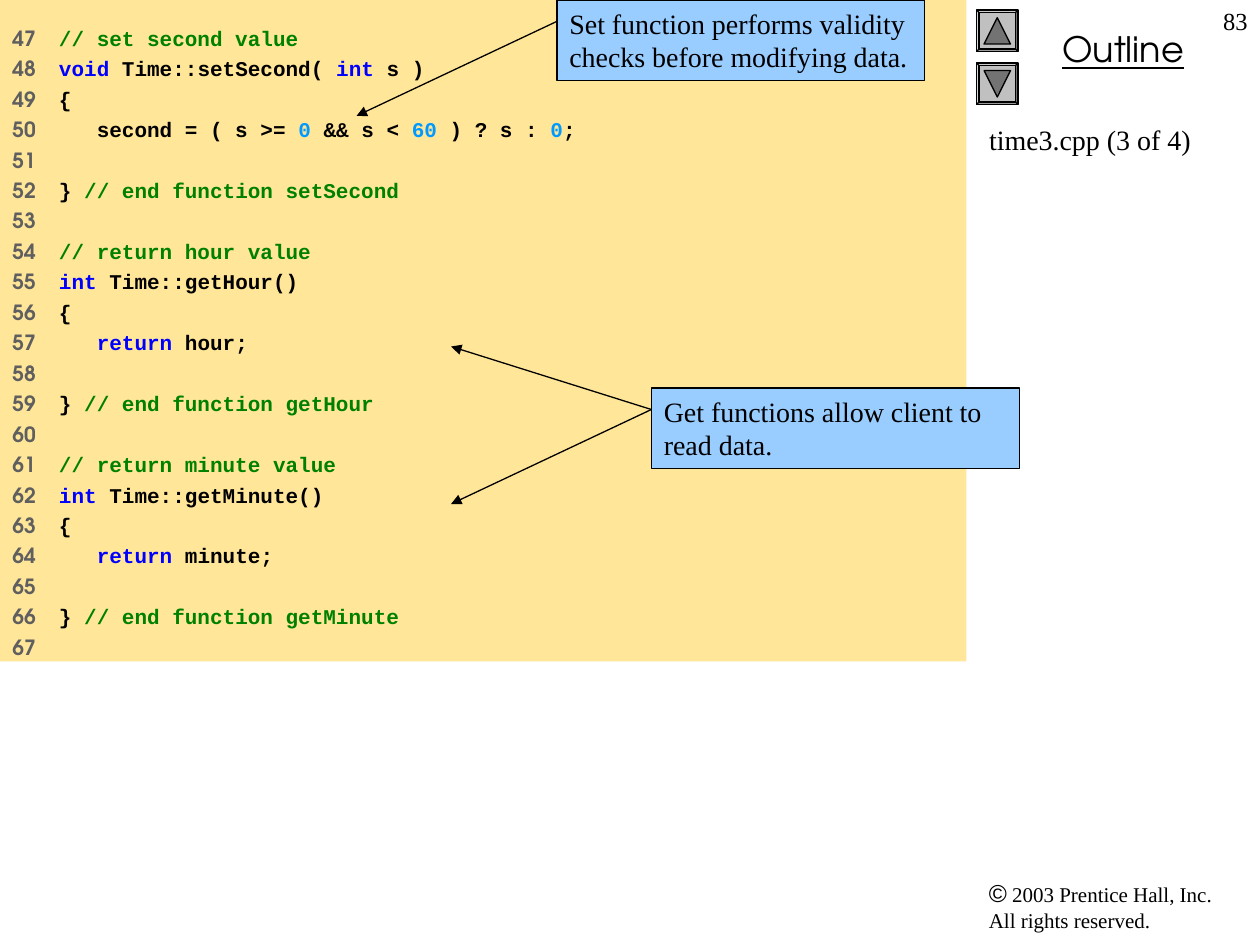
from itertools import groupby

from lxml.etree import SubElement
from pptx import Presentation
from pptx.dml.color import RGBColor
from pptx.enum.shapes import MSO_CONNECTOR, MSO_SHAPE as Shape
from pptx.enum.text import MSO_ANCHOR as Anchor, MSO_AUTO_SIZE as AutoSize, PP_ALIGN as Align
from pptx.oxml.ns import qn
from pptx.util import Inches, Pt

HEADING_FONT, BODY_FONT, CODE_FONT = "TeX Gyre Adventor", "Times New Roman", "Courier New"
BLACK, GRAY, GREEN, BLUE, SKY = "000000", "5F5F5F", "008000", "0000FF", "0099FF"
KEYWORDS = {"void", "int", "return"}
FIRST_LINE = 47
CODE = """\
// set second value
void Time::setSecond( int s )
{
   second = ( s >= 0 && s < 60 ) ? s : 0;

} // end function setSecond

// return hour value
int Time::getHour()
{
   return hour;

} // end function getHour

// return minute value
int Time::getMinute()
{
   return minute;

} // end function getMinute
"""


def color(hex_text):
    return RGBColor.from_string(hex_text)


def set_font(font, name=None, size=None, hex_text=None):
    if name:
        font.name = name
    if size:
        font.size = Pt(size)
    if hex_text:
        font.color.rgb = color(hex_text)


def add_run(paragraph, text, name, hex_text, size=None):
    run = paragraph.add_run()
    run.text = text
    set_font(run.font, name, size, hex_text)


def add_filled(slide, preset, box, fill, line=None):
    shape = slide.shapes.add_shape(preset, *map(Inches, box))
    shape.shadow.inherit = False
    shape.fill.solid()
    shape.fill.fore_color.rgb = color(fill)
    if line:
        shape.line.color.rgb = color(line)
        shape.line.width = Pt(0.75)
    else:
        shape.line.fill.background()
    return shape


def add_label(slide, box, text, name, size, align=Align.LEFT):
    label = slide.shapes.add_textbox(*map(Inches, box))
    label.text_frame.word_wrap = True
    paragraph = label.text_frame.paragraphs[0]
    paragraph.text = text
    paragraph.alignment = align
    set_font(paragraph.font, name, size, BLACK)
    return paragraph


def color_code(line):
    """Yield the pieces of a code line with their colours."""
    code, slashes, comment = line.partition("//")
    pieces = []
    for _, letters in groupby(code, str.isalnum):
        word = "".join(letters)
        pieces.append((word, BLUE if word in KEYWORDS else SKY if word.isdigit() else BLACK))
    if slashes:
        pieces.append((slashes + comment, GREEN))
    for hex_text, same in groupby(pieces, lambda piece: piece[1]):
        yield "".join(word for word, _ in same), hex_text


def add_listing(slide, box):
    listing = add_filled(slide, Shape.RECTANGLE, box, "FFE699")
    frame = listing.text_frame
    frame.word_wrap = True
    frame.vertical_anchor = Anchor.TOP
    frame.margin_top = frame.margin_bottom = Inches(0.2)
    for index, line in enumerate(CODE.split("\n")):
        paragraph = frame.add_paragraph() if index else frame.paragraphs[0]
        paragraph.alignment = Align.LEFT
        if index:
            paragraph.space_before = Pt(3)
        # Tab stop that separates line number and code
        tabs = SubElement(paragraph._p.get_or_add_pPr(), qn("a:tabLst"))
        SubElement(tabs, qn("a:tab"), pos=str(Inches(0.37)), algn="l")
        set_font(paragraph.font, size=12)
        paragraph.font.bold = True
        number = str(FIRST_LINE + index)
        add_run(paragraph, number + "\t" if line else number, HEADING_FONT, GRAY)
        for piece, hex_text in color_code(line):
            add_run(paragraph, piece, CODE_FONT, hex_text)


def add_callout(slide, box, text, targets):
    left, top = box[:2]
    callout = add_filled(slide, Shape.RECTANGLE, box, "99CCFF", BLACK)
    frame = callout.text_frame
    frame.word_wrap = True
    frame.vertical_anchor = Anchor.TOP
    paragraph = frame.paragraphs[0]
    paragraph.text = text
    paragraph.alignment = Align.LEFT
    set_font(paragraph.font, BODY_FONT, 16, BLACK)
    # Arrows leave the left edge at the first line of text
    for x, y in targets:
        arrow = slide.shapes.add_connector(
            MSO_CONNECTOR.STRAIGHT, Inches(left), Inches(top + 0.17), Inches(x), Inches(y))
        arrow.line.color.rgb = color(BLACK)
        arrow.line.width = Pt(0.75)
        SubElement(arrow.line._get_or_add_ln(), qn("a:tailEnd"), type="triangle")
        SubElement(arrow._element.spPr, qn("a:effectLst"))


def add_scroll_button(slide, box, rotation):
    left, top, side, _ = box
    button = add_filled(slide, Shape.BEVEL, box, "C0C0C0", BLACK)
    button.adjustments[0] = 0.06
    inset = 0.06
    size = side - 2 * inset
    triangle = add_filled(slide, Shape.ISOSCELES_TRIANGLE,
                          (left + inset, top + inset, size, size), "737373", BLACK)
    triangle.rotation = rotation


def add_sidebar(slide, box):
    left, top, width, height = box
    # Scroll buttons: up, then down
    for row, rotation in enumerate((0, 180)):
        add_scroll_button(slide, (left, top + 0.08 + row * 0.42, 0.33, 0.33), rotation)

    # Heading and page number
    heading = add_label(slide, (left + 0.08, top + 0.17, 2.17, 0.44), "Outline",
                        HEADING_FONT, 20, Align.CENTER)
    heading.font.underline = True
    add_label(slide, (left + width - 0.5, top, 0.5, 0.5), "83", BODY_FONT, 14, Align.RIGHT)

    # File title
    title = slide.shapes.title
    title.left, title.top, title.width, title.height = map(
        Inches, (left, top + 0.92, width, 5.25))
    title.text_frame.text = "time3.cpp (3 of 4)"
    title.text_frame.auto_size = AutoSize.NONE
    title.text_frame.vertical_anchor = Anchor.TOP
    title_line = title.text_frame.paragraphs[0]
    title_line.alignment = Align.LEFT
    set_font(title_line.font, BODY_FONT, 16, BLACK)

    # Copyright
    notice = add_label(slide, (left, top + height - 0.58, 2.17, 0.54), "", BODY_FONT, 12)
    add_run(notice, "©", "Arial", BLACK, 14)
    add_run(notice, " 2003 Prentice Hall, Inc.", BODY_FONT, BLACK)
    notice.add_line_break()
    add_run(notice, "All rights reserved.", BODY_FONT, BLACK)


def main():
    deck = Presentation()
    deck.slide_width, deck.slide_height = Inches(10), Inches(7.5)
    slide = deck.slides.add_slide(deck.slide_layouts[5])
    add_sidebar(slide, (7.75, 0, 2.25, 7.5))
    add_listing(slide, (0, 0, 7.67, 5.25))
    add_callout(slide, (4.42, 0, 2.92, 0.64),
                "Set function performs validity checks before modifying data.", [(2.83, 0.92)])
    add_callout(slide, (5.17, 3.08, 2.92, 0.64),
                "Get functions allow client to read data.", [(3.58, 4), (3.58, 2.75)])
    deck.save("out.pptx")


if __name__ == "__main__":
    main()
